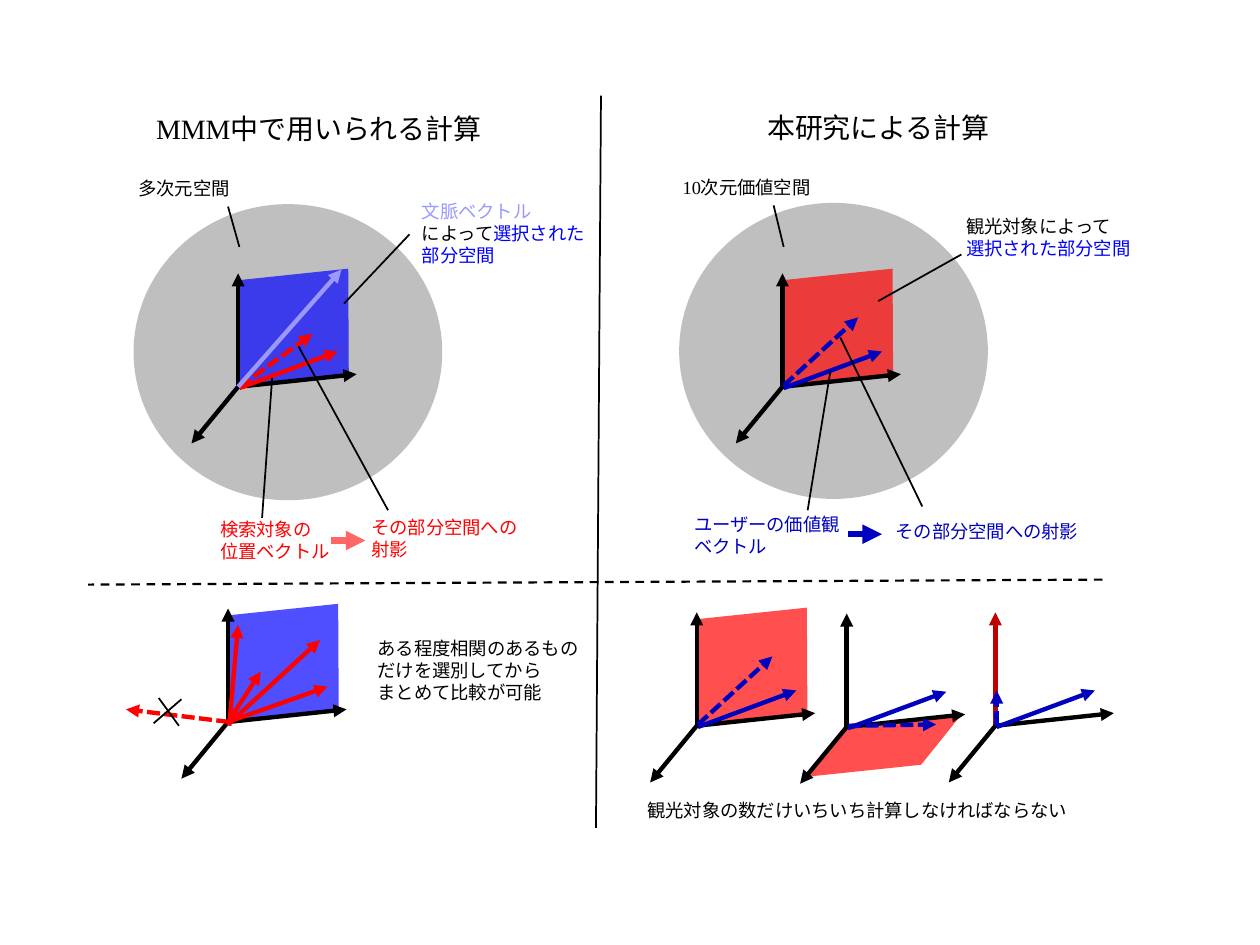
import pptx
import pptx.util
import pptx.dml.color
import pptx.enum.dml
import pptx.enum.shapes
import pptx.enum.text
import pptx.oxml.ns
from lxml import etree

Inches = pptx.util.Inches
Pt = pptx.util.Pt
RGBColor = pptx.dml.color.RGBColor
Shapes = pptx.enum.shapes.MSO_SHAPE
Dash = pptx.enum.dml.MSO_LINE
qn = pptx.oxml.ns.qn

BLACK = RGBColor(0x00, 0x00, 0x00)
GRAY = RGBColor(0xBF, 0xBF, 0xBF)
RED = RGBColor(0xFF, 0x00, 0x00)
BLUE = RGBColor(0x00, 0x00, 0xFF)
NAVY = RGBColor(0x00, 0x00, 0xBF)
DARK_RED = RGBColor(0xBF, 0x00, 0x00)
LILAC = RGBColor(0x99, 0x99, 0xFF)
SALMON = RGBColor(0xFF, 0x66, 0x66)

deck = pptx.Presentation()
deck.slide_width = Inches(10)
deck.slide_height = Inches(7.5)
slide = deck.slides.add_slide(deck.slide_layouts[6])


def add_line(start, end, color=BLACK, width=1, dash=None, arrow=False):
    """Draw a straight line between two points, with an optional arrowhead."""
    line = slide.shapes.add_connector(
        pptx.enum.shapes.MSO_CONNECTOR.STRAIGHT,
        *[Inches(value) for value in (*start, *end)])
    for name, value in {"width": Pt(width), "dash_style": dash}.items():
        setattr(line.line, name, value)
    line.line.color.rgb = color
    properties = line.element.spPr
    if arrow:
        etree.SubElement(properties.find(qn("a:ln")), qn("a:tailEnd"), type="triangle")
    etree.SubElement(properties, qn("a:effectLst"))


def add_figure(kind, box, color, turn=0, lean=None, opacity=None):
    """Draw a filled shape without outline."""
    figure = slide.shapes.add_shape(kind, *[Inches(value) for value in box])
    figure.shadow.inherit = False
    figure.rotation = turn
    figure.line.fill.background()
    figure.fill.solid()
    figure.fill.fore_color.rgb = color
    if lean is not None:
        figure.adjustments[0] = lean
    if opacity is not None:
        tint = figure.element.spPr.find(".//" + qn("a:srgbClr"))
        etree.SubElement(tint, qn("a:alpha"), val=str(opacity * 1000))


# Multi-dimensional spaces
for left, top in [(1.06, 1.62), (5.39, 1.61)]:
    add_figure(Shapes.OVAL, (left, top, 2.45, 2.35), GRAY)

# Coordinate systems: origin, upright plane, vertical axis, vectors.
# A vector holds its start and end relative to the origin, colour and dash.
position = ((0.01, 0.01), (0.79, -0.28))
projection = ((0.01, -0.01), (0.6, -0.55))
user_vector = (*position, NAVY, None)
user_projection = (*projection, NAVY, Dash.SQUARE_DOT)
systems = [
    ((1.89, 3.07), BLUE, BLACK, [
        (*position, RED, None),
        ((0.01, 0), (0.59, -0.42), RED, Dash.SQUARE_DOT),
        ((0, 0), (0.82, -0.93), LILAC, None)]),
    ((6.21, 3.07), RED, BLACK, [user_vector, user_projection]),
    ((1.81, 5.73), BLUE, BLACK, [
        ((0, 0), (0.79, -0.28), RED, None),
        ((0.01, 0), (-0.81, -0.1), RED, Dash.SQUARE_DOT),
        ((0.01, 0.01), (0.73, -0.65), RED, None),
        ((0.01, 0.03), (0.08, -0.77), RED, None),
        ((0.02, -0.03), (0.26, -0.4), RED, None)]),
    ((5.53, 5.76), RED, BLACK, [user_vector, user_projection]),
    ((6.72, 5.77), None, BLACK, [
        user_vector, ((0.01, -0.01), (0.71, -0.02), NAVY, Dash.SQUARE_DOT)]),
    ((7.9, 5.76), None, DARK_RED, [
        user_vector, ((0.01, -0.01), (0.01, -0.28), NAVY, Dash.SQUARE_DOT)]),
]
add_figure(Shapes.PARALLELOGRAM, (6.38, 5.74, 1.27, 0.36), RED, 354, 0.99, 69)
for (x, y), plane, vertical, vectors in systems:
    if plane is not None:
        add_figure(Shapes.PARALLELOGRAM, (x - 0.03, y - 0.89, 0.95, 0.83),
                   plane, 354, 0.1, 69)
    axes = [((0, 0), (0, -0.9), vertical, None),
            ((0, 0), (0.94, -0.1), BLACK, None),
            ((0, 0), (-0.37, 0.45), BLACK, None)]
    for start, end, color, dash in axes + vectors:
        add_line((x + start[0], y + start[1]), (x + end[0], y + end[1]),
                 color, 2.5, dash, True)

# Leader lines, then the cross over the rejected vector
for start, end in [
    ((1.81, 1.64), (1.9, 1.96)), ((3.25, 1.86), (2.73, 2.41)),
    ((2.08, 4.11), (2.16, 3)), ((3.08, 4.05), (2.37, 2.75)),
    ((6.14, 1.63), (6.22, 1.96)), ((7.63, 2.02), (6.97, 2.39)),
    ((6.41, 4.05), (6.59, 2.95)), ((7.32, 4.02), (6.67, 2.68)),
    ((1.42, 5.76), (1.26, 5.54)), ((1.44, 5.55), (1.22, 5.74)),
]:
    add_line(start, end)

# From vector to projection
for x, y, color in [(2.63, 4.29, SALMON), (6.73, 4.24, NAVY)]:
    add_line((x, y), (x + 0.27, y), color, 3.75, None, True)

# Dividers
add_line((4.73, 6.57), (4.77, 0.76))
add_line((8.75, 4.6), (0.7, 4.64), BLACK, 1.25, Dash.DASH)

# Labels: box, size, paragraphs of (text, colour) runs
labels = [
    ((1.14, 0.84, 4.36, 0.37), 16, [[("MMM中で用いられる計算", BLACK)]]),
    ((5.99, 0.83, 4.36, 0.37), 16, [[("本研究による計算", BLACK)]]),
    ((1, 1.36, 1.64, 0.28), 10.5, [[("多次元空間", BLACK)]]),
    ((5.32, 1.35, 1.64, 0.28), 10.5, [[("10次元価値空間", BLACK)]]),
    ((3.25, 1.54, 1.64, 0.63), 10.5, [
        [("文脈ベクトル", LILAC)],
        [("によって", BLACK), ("選択された", BLUE)],
        [("部分空間", BLUE)]]),
    ((7.57, 1.66, 1.64, 0.45), 10.5, [
        [("観光対象によって", BLACK)], [("選択された部分空間", BLUE)]]),
    ((1.65, 4.06, 2.11, 0.45), 10.5, [
        [("検索対象の", RED)], [("位置ベクトル", RED)]]),
    ((2.85, 4.05, 2.11, 0.45), 10.5, [
        [("その部分空間への", RED)], [("射影", RED)]]),
    ((5.41, 4.02, 2.11, 0.45), 10.5, [
        [("ユーザーの価値観", NAVY)], [("ベクトル", NAVY)]]),
    ((7.01, 4.08, 2.11, 0.28), 10.5, [[("その部分空間への射影", NAVY)]]),
    ((2.9, 5.01, 2.06, 0.63), 10.5, [
        [("ある程度相関のあるもの", BLACK)],
        [("だけを選別してから", BLACK)],
        [("まとめて比較が可能", BLACK)]]),
    ((5.04, 6.29, 4.36, 0.28), 10.5, [
        [("観光対象の数だけいちいち計算しなければならない", BLACK)]]),
]
for box, size, paragraphs in labels:
    label = slide.shapes.add_textbox(*[Inches(value) for value in box]).text_frame
    label.word_wrap = True
    label.auto_size = pptx.enum.text.MSO_AUTO_SIZE.SHAPE_TO_FIT_TEXT
    for index, runs in enumerate(paragraphs):
        paragraph = label.add_paragraph() if index else label.paragraphs[0]
        for text, color in runs:
            run = paragraph.add_run()
            run.text = text
            for name, value in {"size": Pt(size), "name": "Times New Roman"}.items():
                setattr(run.font, name, value)
            run.font.color.rgb = color

deck.save("out.pptx")
